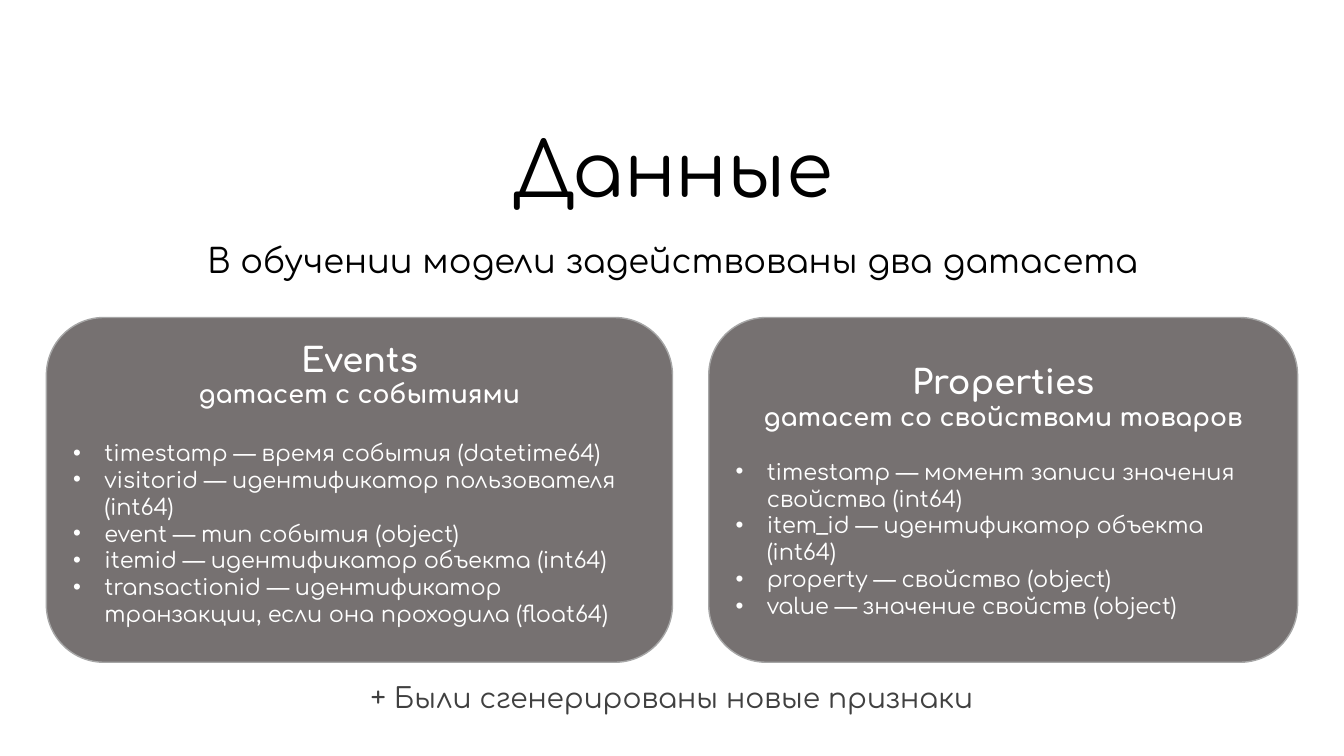
from dataclasses import dataclass

from lxml.etree import SubElement
from pptx import Presentation
from pptx.dml.color import RGBColor
from pptx.enum.shapes import MSO_SHAPE
from pptx.enum.text import MSO_ANCHOR, MSO_AUTO_SIZE, PP_ALIGN
from pptx.oxml.ns import qn
from pptx.util import Pt

PX = 9144  # EMU in one px, 100 px to the inch


@dataclass(frozen=True)
class Theme:
    font: str = "Comfortaa"
    ink: str = "000000"
    soft: str = "404040"
    light: str = "FFFFFF"
    card: str = "767171"
    edge: str = "A6A6A6"
    title: int = 54
    head: int = 24
    note: int = 20
    sub: int = 18
    item: int = 16


THEME = Theme()


def px(*sizes):
    return [size * PX for size in sizes]


def write(frame, text, size, color=THEME.ink, bold=False, align=PP_ALIGN.CENTER,
          line=None, before=0, bullet=False):
    """Fill the first empty paragraph, or add one, with formatted text."""
    para = frame.paragraphs[-1]
    if para.runs:
        para = frame.add_paragraph()
    para.alignment = align
    para.space_before = Pt(before)
    if line:
        para.line_spacing = line
    if bullet:
        props = para._p.get_or_add_pPr()
        indent = 31 * PX
        props.set("marL", str(indent))
        props.set("indent", str(-indent))
        SubElement(props, qn("a:buFont")).set("typeface", "Arial")
        SubElement(props, qn("a:buChar")).set("char", "•")
    run = para.add_run()
    run.text = text
    font = run.font
    font.name, font.size, font.bold = THEME.font, Pt(size), bold
    font.color.rgb = RGBColor.from_string(color)


def set_title(slide, text, box):
    title = slide.shapes.title
    title.left, title.top, title.width, title.height = px(*box)
    frame = title.text_frame
    frame.auto_size = MSO_AUTO_SIZE.NONE
    frame.vertical_anchor = MSO_ANCHOR.BOTTOM
    write(frame, text, THEME.title, line=0.9)


def add_label(slide, text, box, size, color):
    frame = slide.shapes.add_textbox(*px(*box)).text_frame
    frame.word_wrap = True
    write(frame, text, size, color=color, line=0.9, before=10)


def add_card(slide, box, name, about, items, gap, anchor):
    card = slide.shapes.add_shape(MSO_SHAPE.ROUNDED_RECTANGLE, *px(*box))
    card.shadow.inherit = False
    card.fill.solid()
    card.fill.fore_color.rgb = RGBColor.from_string(THEME.card)
    card.line.color.rgb = RGBColor.from_string(THEME.edge)
    card.line.width = Pt(1)
    frame = card.text_frame
    frame.word_wrap = True
    frame.vertical_anchor = anchor
    frame.margin_top = frame.margin_bottom = 4 * PX
    write(frame, name, THEME.head, color=THEME.light, bold=True)
    write(frame, about, THEME.sub, color=THEME.light, bold=True)
    for index, item in enumerate(items):
        write(frame, item, THEME.item, color=THEME.light, align=PP_ALIGN.LEFT,
              before=0 if index else gap, bullet=True)


def main():
    deck = Presentation()
    deck.slide_width, deck.slide_height = px(1333, 750)
    slide = deck.slides.add_slide(deck.slide_layouts[5])

    # Heading
    set_title(slide, "Данные", (167, 132, 1000, 85))
    add_label(slide, "В обучении модели задействованы два датасета",
              (167, 238, 1000, 56), THEME.head, THEME.ink)

    # Dataset cards
    add_card(slide, (46, 315, 621, 342), "Events", "датасет с событиями", [
        "timestamp — время события (datetime64)",
        "visitorid — идентификатор пользователя (int64)",
        "event — тип события (object)",
        "itemid — идентификатор объекта (int64)",
        "transactionid — идентификатор транзакции, если она проходила (float64)",
    ], gap=21.5, anchor=MSO_ANCHOR.TOP)
    add_card(slide, (703, 315, 584, 342), "Properties",
             "датасет со свойствами товаров", [
        "timestamp — момент записи значения свойства (int64)",
        "item_id — идентификатор объекта (int64)",
        "property — свойство (object)",
        "value — значение свойств (object)",
    ], gap=19, anchor=MSO_ANCHOR.MIDDLE)

    # Closing note
    add_label(slide, "+ Были сгенерированы новые признаки",
              (0, 674, 1333, 74), THEME.note, THEME.soft)

    deck.save("out.pptx")


if __name__ == "__main__":
    main()
